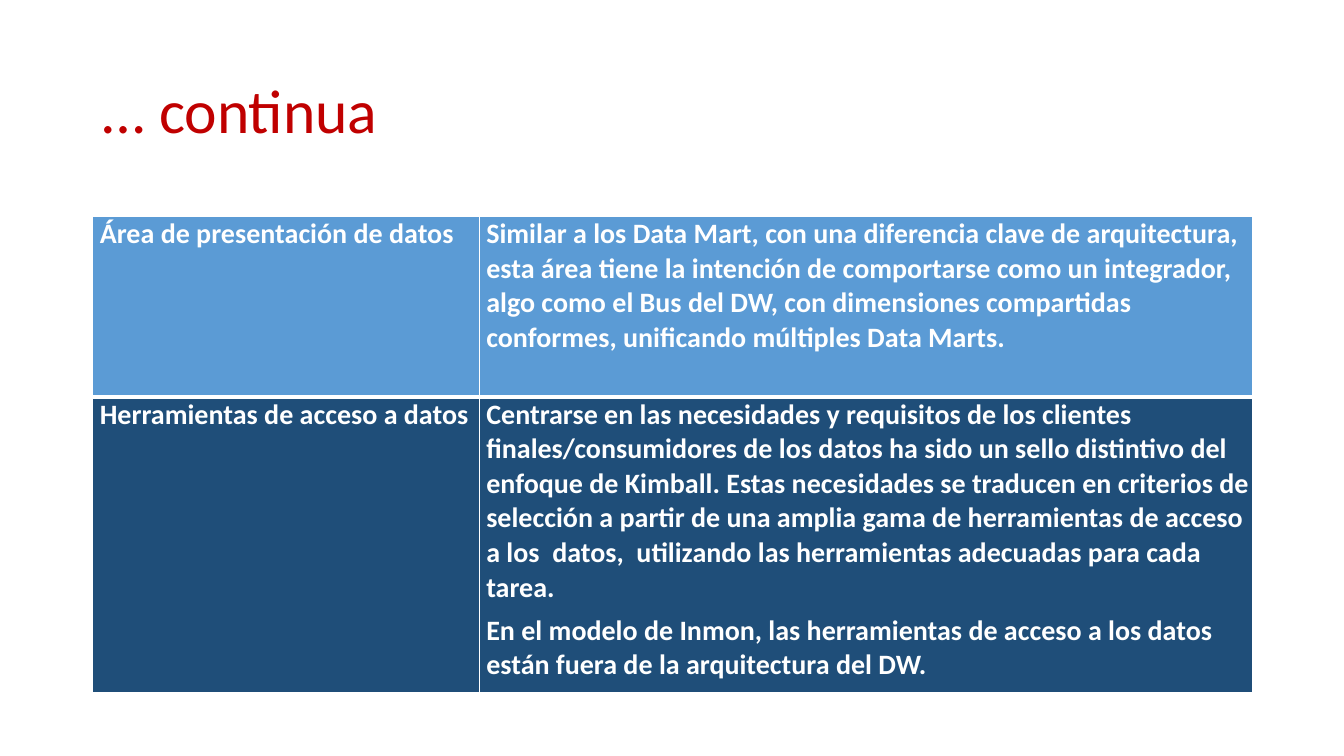
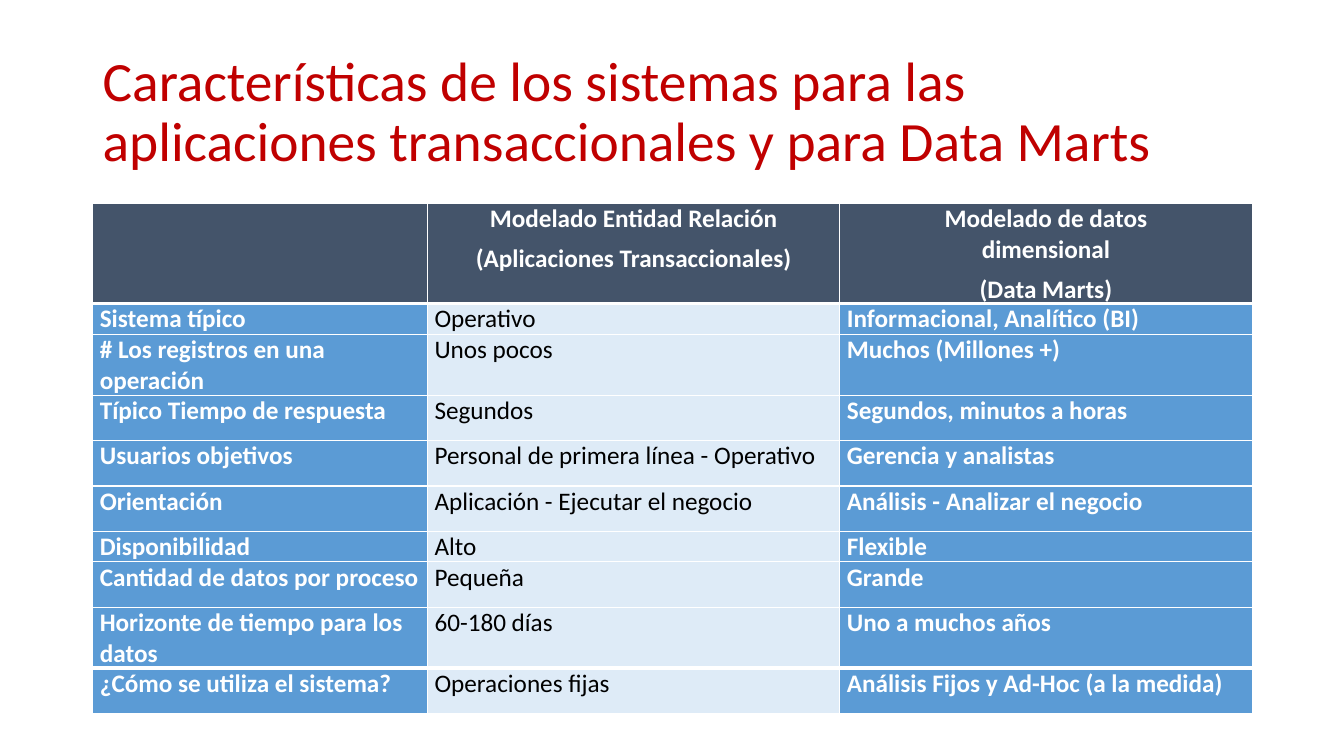
from lxml import etree
from pptx import Presentation
from pptx.dml.color import RGBColor
from pptx.enum.text import MSO_ANCHOR, PP_ALIGN
from pptx.oxml.ns import qn
from pptx.util import Inches, Pt

MIDDLE = MSO_ANCHOR.MIDDLE
LEFT, CENTER = PP_ALIGN.LEFT, PP_ALIGN.CENTER

COLORS = {
    "title": "C00000",
    "header": "44546A",
    "blue": "5B9BD5",
    "navy": "1F4E79",
    "pale": "DEEBF7",
    "white": "FFFFFF",
    "black": "000000",
}
FONT = "Calibri"
SLIDE_WIDTH, SLIDE_HEIGHT = 13.33, 7.5
MARGIN = 0.92
CONTENT_WIDTH = 11.5
TITLE_BOX = (MARGIN, 0.4, CONTENT_WIDTH, 1.45)
THIN, HEAVY = 1, 3
CELL_INDENT = 0.07
LINE_SPACING = 1.01
FIRST_SPACE, NEXT_SPACE = 0.4, 6

ARCHITECTURE_ROWS = [
    ("blue", "Área de presentación de datos", [
        "Similar a los Data Mart, con una diferencia clave de arquitectura, "
        "esta área tiene la intención de comportarse como un integrador, "
        "algo como el Bus del DW, con dimensiones compartidas conformes, "
        "unificando múltiples Data Marts.",
    ]),
    ("navy", "Herramientas de acceso a datos", [
        "Centrarse en las necesidades y requisitos de los clientes "
        "finales/consumidores de los datos ha sido un sello distintivo del "
        "enfoque de Kimball. Estas necesidades se traducen en criterios de "
        "selección a partir de una amplia gama de herramientas de acceso a "
        "los  datos,  utilizando las herramientas adecuadas para cada tarea.",
        "En el modelo de Inmon, las herramientas de acceso a los datos están "
        "fuera de la arquitectura del DW.",
    ]),
]

MODEL_HEADERS = [
    [],
    ["Modelado Entidad Relación", "(Aplicaciones Transaccionales)"],
    ["Modelado de datos dimensional", "(Data Marts)"],
]
MODEL_ROWS = [
    ("Sistema típico", "Operativo", "Informacional, Analítico (BI)"),
    ("# Los registros en una operación", "Unos pocos", "Muchos (Millones +)"),
    ("Típico Tiempo de respuesta", "Segundos", "Segundos, minutos a horas"),
    ("Usuarios objetivos", "Personal de primera línea - Operativo", "Gerencia y analistas"),
    ("Orientación", "Aplicación - Ejecutar el negocio", "Análisis - Analizar el negocio"),
    ("Disponibilidad", "Alto", "Flexible"),
    ("Cantidad de datos por proceso", "Pequeña", "Grande"),
    ("Horizonte de tiempo para los datos", "60-180 días", "Uno a muchos años"),
    ("¿Cómo se utiliza el sistema?", "Operaciones fijas", "Análisis Fijos y Ad-Hoc (a la medida)"),
]


def rgb(name):
    return RGBColor.from_string(COLORS[name])


def style_font(paragraph, size, color, bold=False):
    font = paragraph.font
    font.name, font.size, font.bold = FONT, Pt(size), bold
    font.color.rgb = rgb(color)


def add_title(slide, text, size, box=TITLE_BOX):
    shape = slide.shapes.add_textbox(*map(Inches, box))
    frame = shape.text_frame
    frame.word_wrap = True
    frame.vertical_anchor = MIDDLE
    paragraph = frame.paragraphs[0]
    paragraph.text = text
    paragraph.line_spacing = 0.9
    style_font(paragraph, size, "title")


def set_borders(cell, top, bottom):
    """White lines on all four sides; they precede the fill in the cell."""
    properties = cell._tc.get_or_add_tcPr()
    widths = {"a:lnL": THIN, "a:lnR": THIN, "a:lnT": top, "a:lnB": bottom}
    for position, (tag, width) in enumerate(widths.items()):
        line = etree.Element(qn(tag), w=str(Pt(width)))
        fill = etree.SubElement(line, qn("a:solidFill"))
        etree.SubElement(fill, qn("a:srgbClr"), val=COLORS["white"])
        properties.insert(position, line)


def fill_cell(cell, texts, size, fill, color="white", bold=True,
              align=LEFT, indents=(CELL_INDENT, 0)):
    cell.margin_left = cell.margin_right = cell.margin_top = cell.margin_bottom = 0
    cell.fill.solid()
    cell.fill.fore_color.rgb = rgb(fill)
    frame = cell.text_frame
    frame.text = "\n".join(texts)
    for index, paragraph in enumerate(frame.paragraphs):
        style_font(paragraph, size, color, bold)
        paragraph.alignment = align
        paragraph.line_spacing = LINE_SPACING
        paragraph.space_before = Pt(NEXT_SPACE if index else FIRST_SPACE)
        properties = paragraph._p.get_or_add_pPr()
        for name, indent in zip(("marL", "marR"), indents):
            properties.set(name, str(Inches(indent)))


def add_grid(slide, top, column_shares, row_heights, heavy_edges):
    """Table across the content width; heavy_edges are row boundaries."""
    box = (MARGIN, top, CONTENT_WIDTH, sum(row_heights))
    frame = slide.shapes.add_table(
        len(row_heights), len(column_shares), *map(Inches, box))
    table = frame.table
    table.first_row = table.horz_banding = False
    for column, share in zip(table.columns, column_shares):
        column.width = Inches(CONTENT_WIDTH * share / sum(column_shares))
    for index, (row, height) in enumerate(zip(table.rows, row_heights)):
        row.height = Inches(height)
        above, below = (HEAVY if edge in heavy_edges else THIN
                        for edge in (index, index + 1))
        for cell in row.cells:
            set_borders(cell, above, below)
    return table


def build_architecture_slide(slide):
    add_title(slide, "… continua", 44)
    table = add_grid(slide, 2.15, (1, 2), (1.79, 2.93), {1})
    for row, (fill, name, description) in zip(table.rows, ARCHITECTURE_ROWS):
        for cell, texts in zip(row.cells, ([name], description)):
            fill_cell(cell, texts, 20, fill)


def build_models_slide(slide):
    add_title(slide, "Características de los sistemas para las aplicaciones "
                     "transaccionales y para Data Marts", 39.6)
    single, double = 0.27, 0.45
    heights = [0.91] + [single if row[0] in ("Sistema típico", "Disponibilidad") else double
                        for row in MODEL_ROWS]
    table = add_grid(slide, 2.02, (3.32, 4.09, 4.09), heights, {1, len(MODEL_ROWS)})
    # Header row
    for column, texts in enumerate(MODEL_HEADERS):
        fill_cell(table.cell(0, column), texts, 18, "header",
                  align=CENTER, indents=(0.4, 0.4))
    # Body: the transactional column is pale with plain black text
    column_styles = (("blue", "white", True), ("pale", "black", False), ("blue", "white", True))
    for row, texts in enumerate(MODEL_ROWS, start=1):
        for column, (text, style) in enumerate(zip(texts, column_styles)):
            fill_cell(table.cell(row, column), [text], 18, *style)


def main():
    presentation = Presentation()
    presentation.slide_width = Inches(SLIDE_WIDTH)
    presentation.slide_height = Inches(SLIDE_HEIGHT)
    blank = presentation.slide_layouts[6]
    for build in (build_architecture_slide, build_models_slide):
        build(presentation.slides.add_slide(blank))
    presentation.save("out.pptx")


if __name__ == "__main__":
    main()
